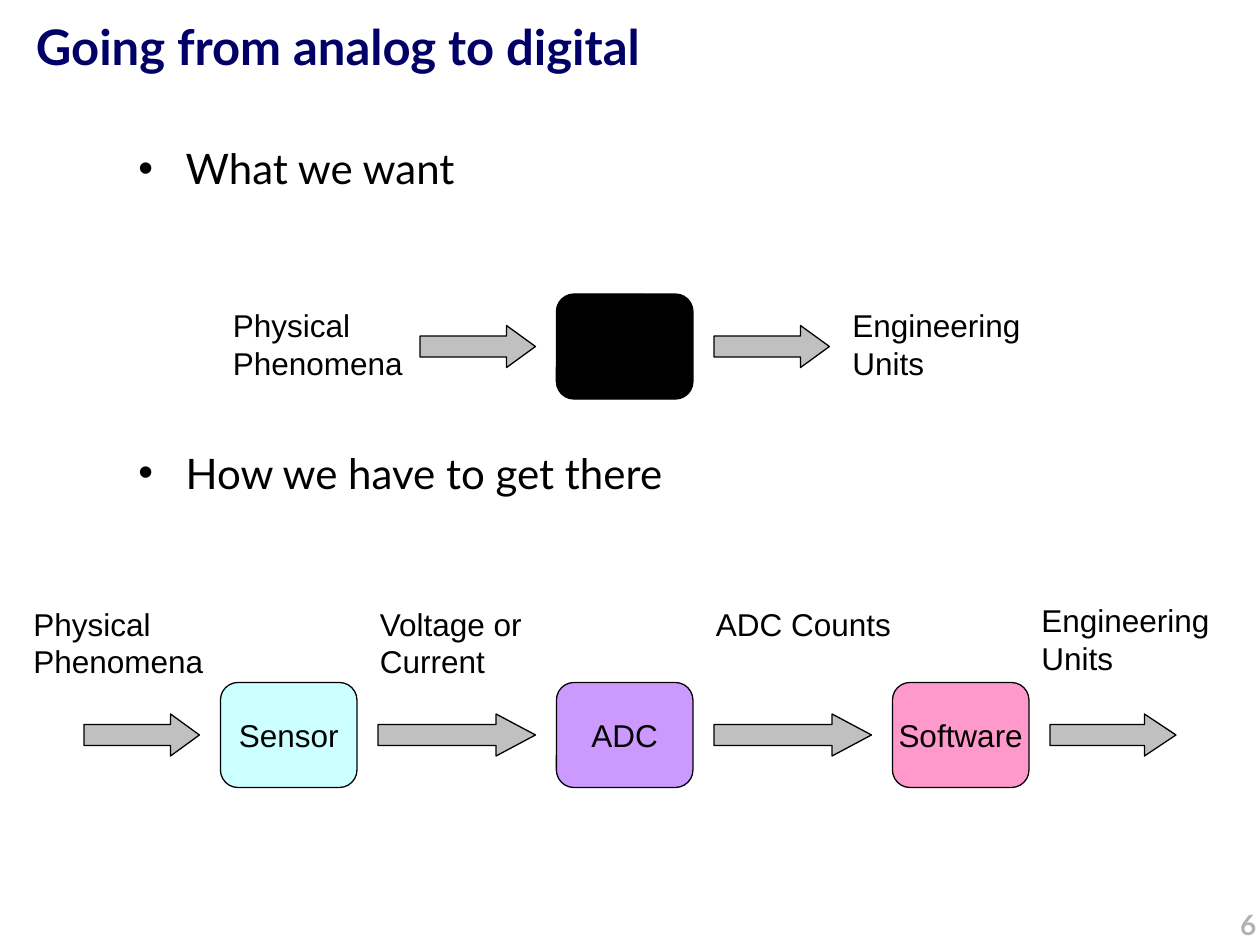
from lxml.etree import SubElement
from pptx import Presentation
from pptx.dml.color import RGBColor
from pptx.enum.shapes import MSO_SHAPE
from pptx.enum.text import MSO_ANCHOR, PP_ALIGN
from pptx.oxml.ns import qn
from pptx.util import Pt

COLORS = {
    "title": "000066", "text": "000000", "number": "B2B2B2", "line": "000000",
    "arrow": "C0C0C0", "black_box": "000000",
    "sensor": "CCFFFF", "adc": "CC99FF", "software": "FF99CC",
}
BOX_W, BOX_H = 78, 60
ARROW_H = 24
LABEL_W = 120

prs = Presentation()
prs.slide_width, prs.slide_height = Pt(720), Pt(540)
s = prs.slides.add_slide(prs.slide_layouts[6])


def write(sp, text, size=18, font="Arial", color="text", bold=False,
          align=PP_ALIGN.LEFT, anchor=MSO_ANCHOR.TOP, wrap=True,
          bullet=False, gap=0):
    """Fill a shape with one paragraph per line; gap goes before all but the first."""
    tf = sp.text_frame
    tf.word_wrap = wrap
    tf.vertical_anchor = anchor
    for i, line in enumerate(text.split("\n")):
        p = tf.paragraphs[0] if i == 0 else tf.add_paragraph()
        p.alignment = align
        if i and gap:
            p.space_before = Pt(gap)
        if bullet:
            pPr = p._p.get_or_add_pPr()
            pPr.set("marL", str(Pt(27)))
            pPr.set("indent", str(-Pt(27)))
            SubElement(pPr, qn("a:buFont"), typeface="Arial")
            SubElement(pPr, qn("a:buChar"), char="•")
        r = p.add_run()
        r.text = line
        r.font.size, r.font.name, r.font.bold = Pt(size), font, bold
        r.font.color.rgb = RGBColor.from_string(COLORS[color])


def add_block(kind, x, y, w, h, fill, adjustments):
    sp = s.shapes.add_shape(kind, Pt(x), Pt(y), Pt(w), Pt(h))
    sp.shadow.inherit = False
    sp.fill.solid()
    sp.fill.fore_color.rgb = RGBColor.from_string(COLORS[fill])
    sp.line.color.rgb = RGBColor.from_string(COLORS["line"])
    sp.line.width = Pt(0.75)
    for i, value in enumerate(adjustments):
        sp.adjustments[i] = value
    return sp


# Title, bullets and slide number
title = s.shapes.add_textbox(Pt(13.5), Pt(6), Pt(634.5), Pt(72))
write(title, "Going from analog to digital", size=28, font="Lato",
      color="title", bold=True)
body = s.shapes.add_textbox(Pt(72), Pt(78), Pt(576), Pt(384))
write(body, "What we want\nHow we have to get there", size=24, font="Lato",
      bullet=True, gap=145.2)
number = s.shapes.add_textbox(Pt(497), Pt(515), Pt(228), Pt(36))
write(number, "6", size=16, font="Lato", color="number", bold=True,
      align=PP_ALIGN.RIGHT)

# Processing boxes
for x, y, fill, name in [
    (318, 168, "black_box", ""),
    (126, 390, "sensor", "Sensor"),
    (318, 390, "adc", "ADC"),
    (510, 390, "software", "Software"),
]:
    box = add_block(MSO_SHAPE.ROUNDED_RECTANGLE, x, y, BOX_W, BOX_H, fill, [0.167])
    if name:
        write(box, name, align=PP_ALIGN.CENTER, anchor=MSO_ANCHOR.MIDDLE, wrap=False)

# Flow arrows, whose heads take a quarter of the length
for x, y, w in [(240, 186, 66), (408, 186, 66),
                (48, 408, 66), (216, 408, 90), (408, 408, 90), (600, 408, 72)]:
    add_block(MSO_SHAPE.RIGHT_ARROW, x, y, w, ARROW_H, "arrow",
              [0.5, w / 4 / ARROW_H])

# Signal labels
for x, y, h, text in [
    (126, 171.5, 50, "Physical\nPhenomena"),
    (480, 171.5, 50, "Engineering Units"),
    (12, 342, 50, "Physical\nPhenomena"),
    (210, 342, 50, "Voltage or\nCurrent"),
    (402, 342, 29, "ADC Counts"),
    (588, 340, 50, "Engineering Units"),
]:
    label = s.shapes.add_textbox(Pt(x), Pt(y), Pt(LABEL_W), Pt(h))
    write(label, text)

prs.save("out.pptx")
